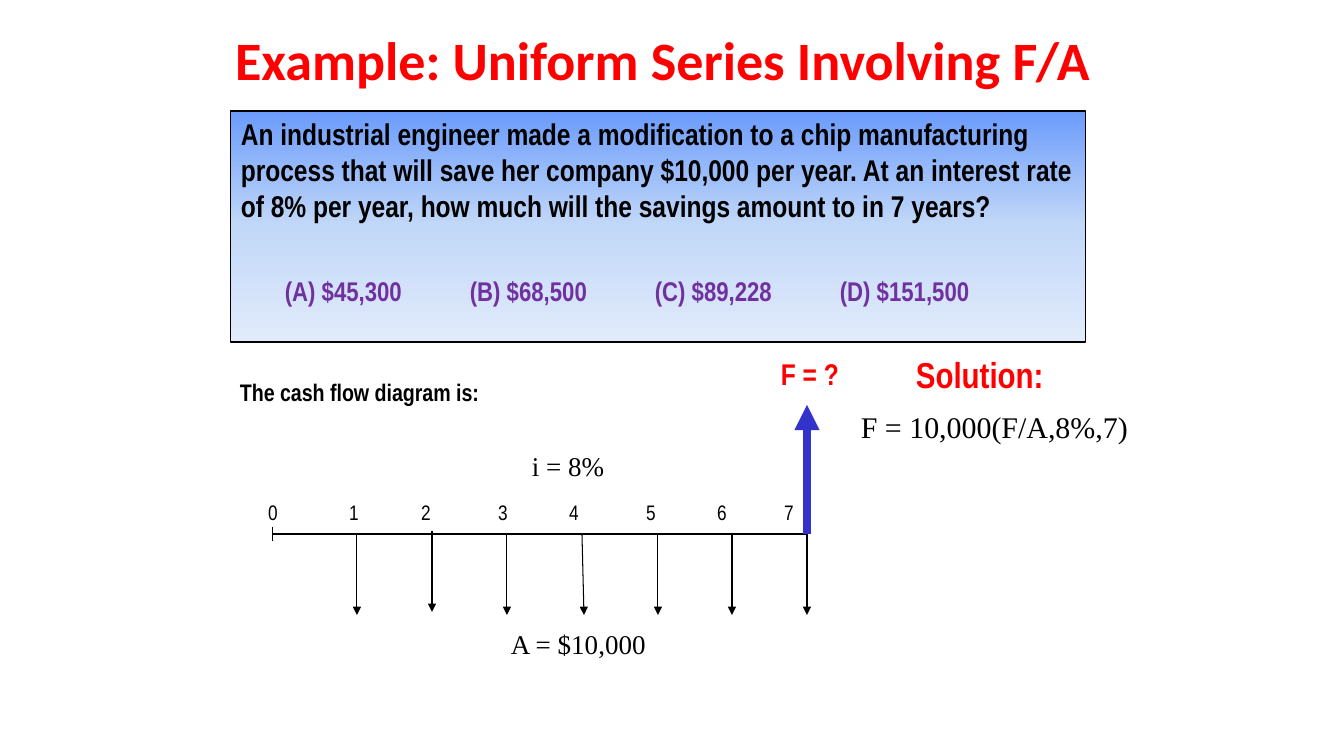
from copy import deepcopy

from lxml.etree import SubElement
from pptx import Presentation
from pptx.dml.color import RGBColor
from pptx.enum.shapes import MSO_CONNECTOR, MSO_SHAPE
from pptx.enum.text import MSO_ANCHOR, PP_ALIGN
from pptx.oxml.ns import qn
from pptx.util import Pt

PIXEL = 9071  # EMU in one pixel at 100.8 pixels to the inch
COLORS = {
    "black": "000000",
    "red": "FF0000",
    "purple": "7030A0",
    "arrow": "3333CC",
    "top": "6B9BFB",
    "middle": "C2D8F8",
    "bottom": "E1EBFB",
}

deck = Presentation()
deck.slide_width = 1344 * PIXEL
deck.slide_height = 756 * PIXEL
page = deck.slides.add_slide(deck.slide_layouts[6])


def add_text(text, left, top, width, height, size, font="Arial Narrow",
             color="black", bold=False, align=PP_ALIGN.LEFT, wrap=True,
             anchor=MSO_ANCHOR.TOP):
    """Add a text box holding one formatted paragraph."""
    box = page.shapes.add_textbox(*(n * PIXEL for n in (left, top, width, height)))
    frame = box.text_frame
    frame.word_wrap = wrap
    frame.vertical_anchor = anchor
    para = frame.paragraphs[0]
    para.alignment = align
    span = para.add_run()
    span.text = text
    span.font.name = font
    span.font.size = Pt(size)
    span.font.bold = bold
    span.font.color.rgb = RGBColor.from_string(COLORS[color])


def add_line(x1, y1, x2, y2, color="black", weight=0.75, arrow=False):
    """Add a straight line, with an arrowhead at its end if asked."""
    line = page.shapes.add_connector(
        MSO_CONNECTOR.STRAIGHT, *(n * PIXEL for n in (x1, y1, x2, y2)))
    line.line.color.rgb = RGBColor.from_string(COLORS[color])
    line.line.width = Pt(weight)
    if arrow:
        SubElement(line.line._get_or_add_ln(), qn("a:tailEnd"), type="triangle")
    SubElement(line._element.spPr, qn("a:effectLst"))


# Question panel with a three-stop vertical gradient
panel = page.shapes.add_shape(
    MSO_SHAPE.RECTANGLE, *(n * PIXEL for n in (231, 111, 855, 231)))
panel.shadow.inherit = False
panel.line.color.rgb = RGBColor.from_string(COLORS["black"])
panel.line.width = Pt(0.75)
panel.fill.gradient()
panel.fill.gradient_angle = 270
stop_list = panel._element.spPr.find(".//" + qn("a:gsLst"))
stop_list.insert(1, deepcopy(stop_list[0]))
for stop, position, name in zip(panel.fill.gradient_stops, (0, 0.5, 1),
                                ("top", "middle", "bottom")):
    stop.position = position
    stop.color.rgb = RGBColor.from_string(COLORS[name])

add_text("Example: Uniform Series Involving F/A", 222, 18, 882, 81, 38.6,
         font="Calibri", color="red", bold=True, align=PP_ALIGN.CENTER,
         anchor=MSO_ANCHOR.MIDDLE)
add_text("An industrial engineer made a modification to a chip manufacturing "
         "process that will save her company $10,000 per year. At an interest "
         "rate of 8% per year, how much will the savings amount to in 7 years?",
         231, 111, 855, 119, 21.4, bold=True)

answers = ("(A) $45,300", "(B) $68,500", "(C) $89,228", "(D) $151,500")
for index, answer in enumerate(answers):
    add_text(answer, 275 + 185 * index, 270, 160, 43, 19.3,
             color="purple", bold=True, wrap=False)

# Cash flow diagram
add_text("The cash flow diagram is:", 230, 373, 378, 38, 17.1, bold=True)
axis_y = 534
add_line(807, axis_y, 273, axis_y)
add_line(273, 527, 273, 541)
add_line(807, axis_y, 807, 405, color="arrow", weight=6, arrow=True)

# Top x, tip x and vertical shift of each yearly payment
payments = ((357, 357, 0), (432, 432, -3), (507, 507, 0), (582, 584, 0),
            (658, 658, 0), (732, 732, 0), (807, 807, 0))
for start_x, tip_x, shift in payments:
    add_line(start_x, axis_y + shift, tip_x, axis_y + 81 + shift, arrow=True)

year_centers = (273, 354, 426, 503, 574, 651, 722, 789)
for year, center in enumerate(year_centers):
    add_text(str(year), center - 20, 495, 40, 35, 15, align=PP_ALIGN.CENTER)

add_text("i = 8%", 522, 444, 94, 43, 19.3, font="Times New Roman", wrap=False)
add_text("A = $10,000", 501, 622, 156, 43, 19.3, font="Times New Roman", wrap=False)
add_text("F = ?", 771, 351, 81, 46, 21.4, color="red", bold=True)

# Solution
add_text("Solution:", 906, 348, 149, 53, 25.7, color="red", bold=True, wrap=False)
add_text("F = 10,000(F/A,8%,7)", 851, 404, 307, 46, 21.4, font="Times New Roman")

deck.save("out.pptx")
